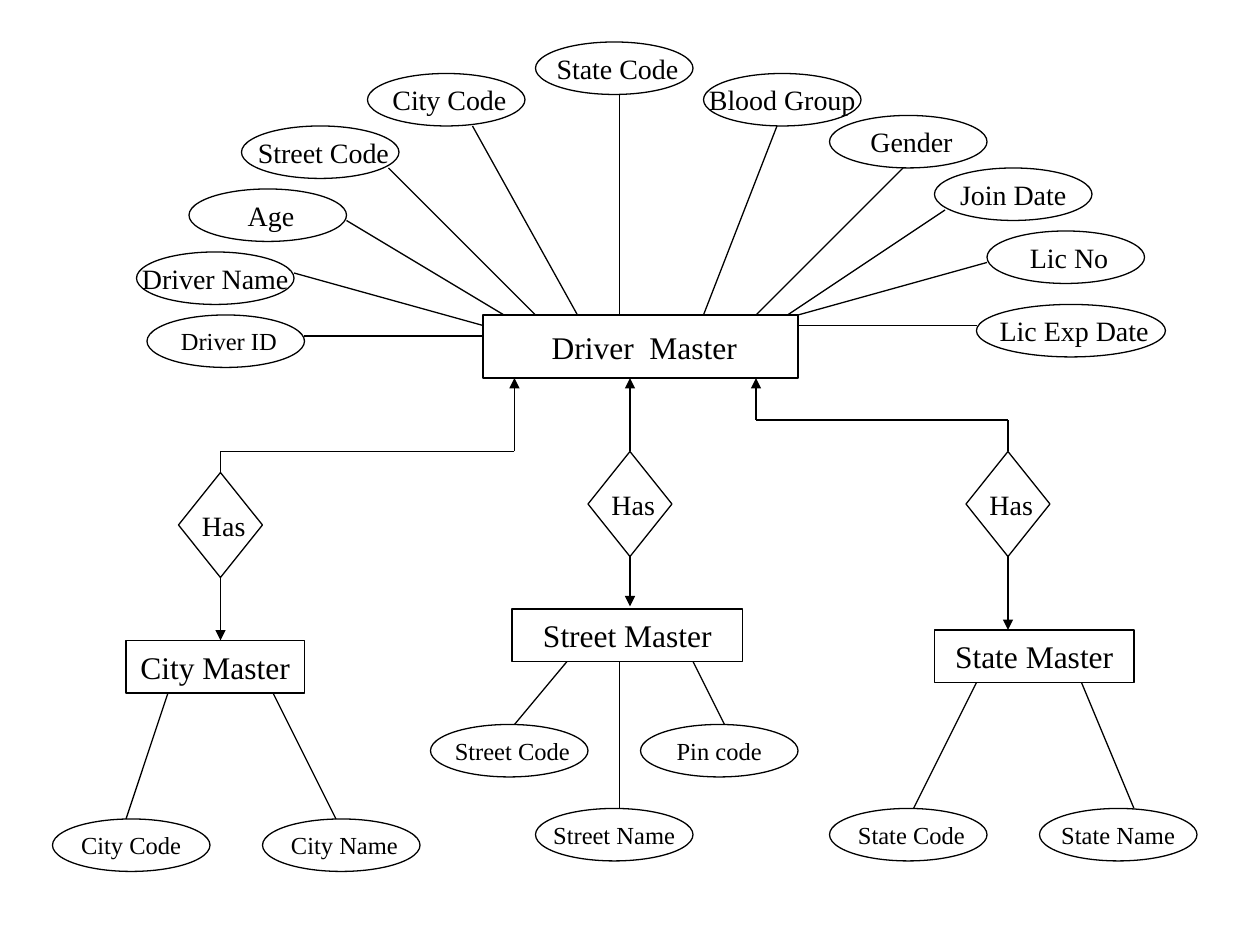
from itertools import pairwise

from lxml.etree import SubElement
from pptx import Presentation
from pptx.dml.color import RGBColor
from pptx.enum.shapes import MSO_CONNECTOR, MSO_SHAPE
from pptx.enum.text import MSO_ANCHOR, PP_ALIGN
from pptx.oxml.ns import qn
from pptx.util import Pt

PX = 9525  # EMU per px, 96 px to the inch
COLORS = {"fill": "FFFFFF", "ink": "000000"}
FONT = "Times New Roman"
NODE_HEIGHT = 40
DIAMOND_WIDTH, DIAMOND_HEIGHT = 64, 80
TOP, BOTTOM = 0, 2

presentation = Presentation()
presentation.slide_width = 960 * PX
presentation.slide_height = 720 * PX
slide = presentation.slides.add_slide(presentation.slide_layouts[6])


def add_node(kind, text, left, top, width, height, size, nudge=0):
    """Add an outlined shape with a centred label; nudge widens the left inset."""
    shape = slide.shapes.add_shape(kind, left * PX, top * PX, width * PX, height * PX)
    shape.shadow.inherit = False
    shape.fill.solid()
    shape.fill.fore_color.rgb = RGBColor.from_string(COLORS["fill"])
    shape.line.color.rgb = RGBColor.from_string(COLORS["ink"])
    shape.line.width = Pt(0.75)
    frame = shape.text_frame
    frame.word_wrap = False
    frame.vertical_anchor = MSO_ANCHOR.MIDDLE
    frame.margin_left = (10 + nudge) * PX
    frame.margin_right = 10 * PX
    frame.margin_top = frame.margin_bottom = 5 * PX
    paragraph = frame.paragraphs[0]
    paragraph.alignment = PP_ALIGN.CENTER
    run = paragraph.add_run()
    run.text = text
    run.font.name = FONT
    run.font.size = Pt(size)
    run.font.color.rgb = RGBColor.from_string(COLORS["ink"])
    return shape


def add_line(start, end, arrow=False):
    """Add a straight line, with an arrowhead at its end if asked."""
    connector = slide.shapes.add_connector(
        MSO_CONNECTOR.STRAIGHT, *(value * PX for value in (*start, *end)))
    connector.line.color.rgb = RGBColor.from_string(COLORS["ink"])
    connector.line.width = Pt(0.75)
    if arrow:
        SubElement(connector.line._get_or_add_ln(), qn("a:tailEnd"), type="triangle")
    SubElement(connector._element.spPr, qn("a:effectLst"))
    return connector


# Entities: text, left, top, width, height, nudge
entities = [
    ("Driver  Master", 368, 240, 240, 48, 6),
    ("Street Master", 390, 464, 176, NODE_HEIGHT, 0),
    ("City Master", 96, 488, 136, NODE_HEIGHT, 0),
    ("State Master", 712, 480, 152, NODE_HEIGHT, 0),
]
for text, left, top, width, height, nudge in entities:
    add_node(MSO_SHAPE.RECTANGLE, text, left, top, width, height, 18, nudge)

# Attributes: text, left, top, width, size, nudge, line start, line end
attributes = [
    # Driver
    ("Driver ID", 112, 240, 120, 14, 5, (232, 256), (368, 256)),
    ("Driver Name", 104, 192, 120, 16, 0, (224, 208), (368, 248)),
    ("Age", 144, 144, 120, 16, 5, (264, 168), (384, 240)),
    ("Street Code", 184, 96, 120, 16, 5, (296, 128), (408, 240)),
    ("City Code", 280, 56, 120, 16, 5, (360, 96), (440, 240)),
    ("State Code", 408, 32, 120, 16, 5, (472, 72), (472, 240)),
    ("Blood Group", 536, 56, 120, 16, 0, (592, 96), (536, 240)),
    ("Gender", 632, 88, 120, 16, 5, (688, 128), (576, 240)),
    ("Join Date", 712, 128, 120, 16, 0, (720, 160), (600, 240)),
    ("Lic No", 752, 176, 120, 16, 5, (752, 200), (608, 240)),
    ("Lic Exp Date", 744, 232, 144, 16, 5, (744, 248), (608, 248)),
    # Street
    ("Street Code", 328, 552, 120, 14, 5, (392, 552), (432, 504)),
    ("Street Name", 408, 616, 120, 14, 0, (472, 616), (472, 504)),
    ("Pin code", 488, 552, 120, 14, 0, (552, 552), (528, 504)),
    # City
    ("City Code", 40, 624, 120, 14, 0, (96, 624), (128, 528)),
    ("City Name", 200, 624, 120, 14, 5, (256, 624), (208, 528)),
    # State
    ("State Code", 632, 616, 120, 14, 5, (696, 616), (744, 520)),
    ("State Name", 792, 616, 120, 14, 0, (864, 616), (824, 520)),
]
for text, left, top, width, size, nudge, start, end in attributes:
    add_node(MSO_SHAPE.OVAL, text, left, top, width, NODE_HEIGHT, size, nudge)
    add_line(start, end)

# Relationships: path from the diamond's top to the driver, top of the entity below
relationships = [
    ([(168, 360), (168, 344), (392, 344), (392, 288)], 488),
    ([(480, 344), (480, 288)], 462),
    ([(768, 344), (768, 320), (576, 320), (576, 288)], 480),
]
for route, entity_top in relationships:
    center, top = route[0]
    diamond = add_node(MSO_SHAPE.DIAMOND, "Has", center - DIAMOND_WIDTH // 2, top,
                       DIAMOND_WIDTH, DIAMOND_HEIGHT, 16, 5)
    segments = [add_line(start, end, arrow=end == route[-1])
                for start, end in pairwise(route)]
    segments[0].begin_connect(diamond, TOP)
    down = add_line((center, top + DIAMOND_HEIGHT), (center, entity_top), arrow=True)
    down.begin_connect(diamond, BOTTOM)

presentation.save("out.pptx")
